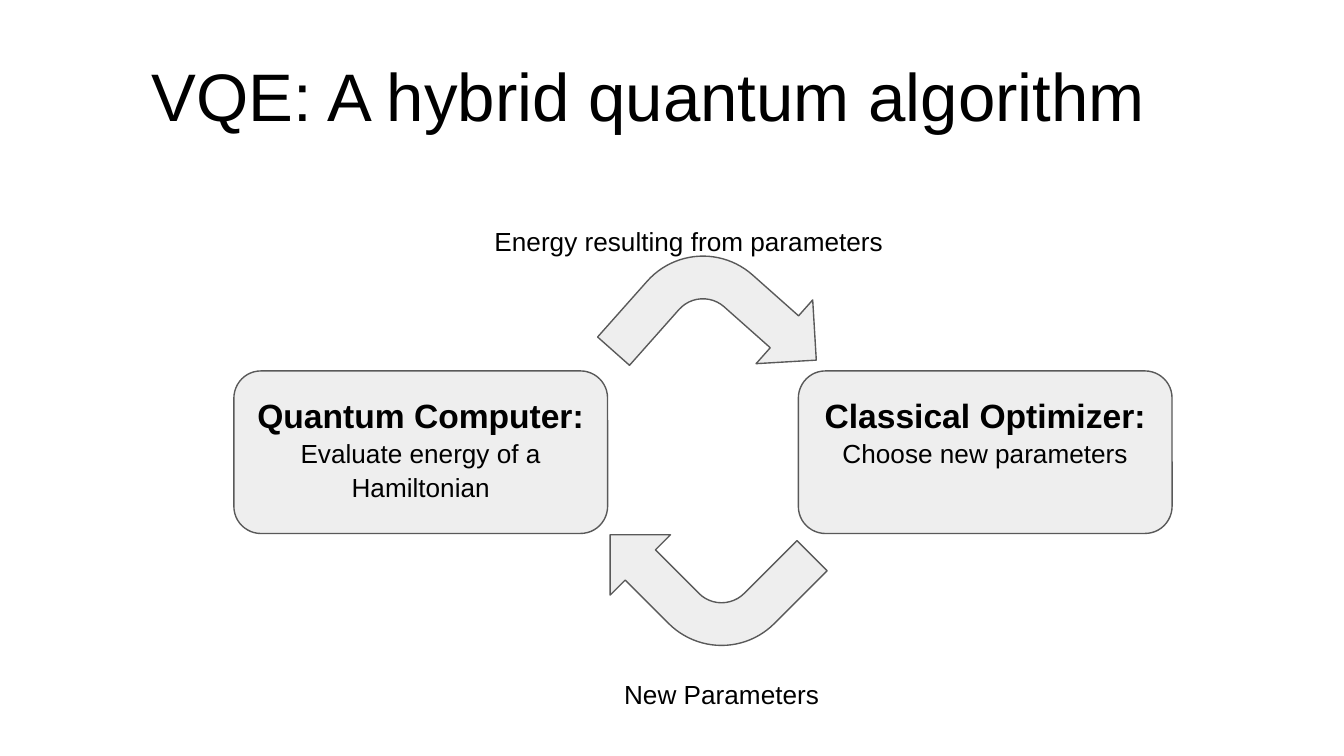
"""Build a slide showing the VQE loop between quantum computer and classical optimizer."""
from pptx import Presentation
from pptx.dml.color import RGBColor
from pptx.enum.shapes import MSO_SHAPE as SHAPE
from pptx.enum.text import MSO_ANCHOR as ANCHOR, PP_ALIGN as ALIGN
from pptx.util import Pt

COLORS = {"fill": "EEEEEE", "line": "595959", "text": "000000"}
FONT = "Arial"
INSET = 7.2
LINE_SPACING = 1.07

BOXES = [
    (125.3, "Quantum Computer:", "Evaluate energy of a Hamiltonian"),
    (427.7, "Classical Optimizer:", "Choose new parameters"),
]
BOX_TOP, BOX_W, BOX_H = 198.7, 200.2, 87.1
ARROWS = [(338.4, 132.5, 41.6), (329, 258.5, 225)]
ARROW_W, ARROW_H = 95.8, 91.4
LABELS = [
    ("VQE: A hybrid quantum algorithm", (74.2, 18.7, 623.5, 48.2), 36, ALIGN.LEFT),
    ("Energy resulting from parameters", (257.8, 112.3, 239, 24.5), 14, ALIGN.LEFT),
    ("New Parameters", (267.1, 355, 239, 24.5), 14, ALIGN.CENTER),
]


def color(name):
    return RGBColor.from_string(COLORS[name])


def add_text(p, text, size=14, bold=False, align=ALIGN.LEFT):
    p.alignment = align
    p.line_spacing = LINE_SPACING
    r = p.add_run()
    r.text = text
    r.font.name = FONT
    r.font.size = Pt(size)
    r.font.bold = bold
    r.font.color.rgb = color("text")


def prepare_frame(sp):
    tf = sp.text_frame
    tf.word_wrap = True
    tf.vertical_anchor = ANCHOR.TOP
    tf.margin_left = tf.margin_right = tf.margin_top = tf.margin_bottom = Pt(INSET)
    return tf


def add_block(slide, kind, *place):
    sp = slide.shapes.add_shape(kind, *map(Pt, place))
    sp.shadow.inherit = False
    sp.fill.solid()
    sp.fill.fore_color.rgb = color("fill")
    sp.line.color.rgb = color("line")
    sp.line.width = Pt(0.75)
    return sp


def main():
    prs = Presentation()
    prs.slide_width, prs.slide_height = Pt(720), Pt(405)
    slide = prs.slides.add_slide(prs.slide_layouts[6])

    for left, heading, task in BOXES:
        sp = add_block(slide, SHAPE.ROUNDED_RECTANGLE, left, BOX_TOP, BOX_W, BOX_H)
        tf = prepare_frame(sp)
        add_text(tf.paragraphs[0], heading, size=18, bold=True, align=ALIGN.CENTER)
        add_text(tf.add_paragraph(), task, align=ALIGN.CENTER)

    for left, top, angle in ARROWS:
        sp = add_block(slide, SHAPE.BENT_ARROW, left, top, ARROW_W, ARROW_H)
        sp.rotation = angle

    for text, place, size, align in LABELS:
        tf = prepare_frame(slide.shapes.add_textbox(*map(Pt, place)))
        add_text(tf.paragraphs[0], text, size=size, align=align)

    prs.save("out.pptx")


if __name__ == "__main__":
    main()
